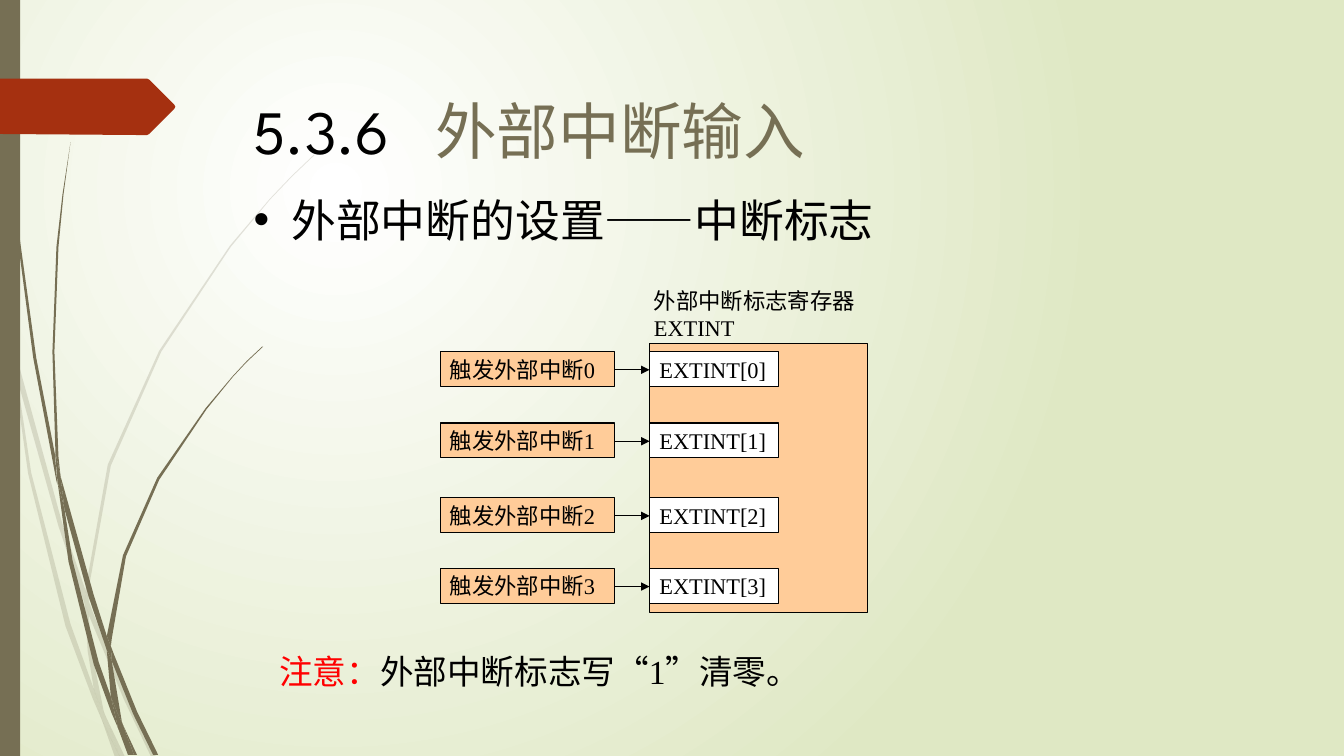
from pptx import Presentation
from pptx.dml.color import RGBColor as Rgb
from pptx.enum.lang import MSO_LANGUAGE_ID as Lang
from pptx.enum.shapes import MSO_CONNECTOR as Conn, MSO_SHAPE as Kind
from pptx.enum.text import MSO_ANCHOR as Anchor, PP_ALIGN as Align
from pptx.oxml.ns import qn
from pptx.util import Cm, Pt
from lxml.etree import SubElement as Sub

HUES = {
    "ink": "000000", "white": "FFFFFF", "pale": "DFE8C4", "olive": "766F54",
    "rust": "A53010", "peach": "FFCC99", "red": "FF0000",
}
SERIF, SANS = "Times New Roman", "League Spartan"

TITLE = [[("5.3.6\t", 44, "ink", SANS), ("外部中断输入", 44, "olive", SERIF)]]
BODY = [[("外部中断的设置——中断标志", 32, "ink", SERIF)]]
LABEL = [[("外部中断标志寄存器", 16, "ink", SERIF)], [("EXTINT", 16, "ink", SERIF)]]
NOTE = [[("注意：", 24, "red", SERIF), ("外部中断标志写“1”清零。", 24, "ink", SERIF)]]
ROWS = [
    ("触发外部中断0", "EXTINT[0]", 8.86),
    ("触发外部中断1", "EXTINT[1]", 10.66),
    ("触发外部中断2", "EXTINT[2]", 12.54),
    ("触发外部中断3", "EXTINT[3]", 14.32),
]

UNIT = Cm(0.0254)
FAINT = [
    [(11, 350), (9, 322), (0, 282), (0, 299), (10, 344)],
    [(58, 522), (84, 599), (85, 586), (62, 520), (14, 345), (17, 376)],
    [(92, 607), (88, 596), (88, 610), (123, 694), (150, 751), (155, 751), (127, 692)],
    [(119, 751), (124, 751), (105, 711)],
    [(93, 683), (70, 619), (31, 469), (17, 376), (11, 350), (28, 470), (65, 621),
     (92, 693), (101, 714), (99, 707)],
    [(84, 599), (87, 646), (93, 683), (96, 692), (105, 711), (103, 706), (91, 646),
     (88, 610), (88, 608)],
    [(88, 584), (110, 462), (160, 349), (229, 245), (268, 198), (290, 175), (312, 154),
     (312, 153), (289, 175), (268, 197), (228, 244), (158, 348), (107, 461), (85, 584),
     (85, 586), (88, 596)],
    [(101, 714), (114, 751), (119, 751)],
    [(88, 608), (88, 610), (88, 596), (85, 586), (84, 599)],
    [(96, 692), (93, 683), (99, 707), (101, 714), (119, 751), (105, 711)],
]
BOLD = [
    [(7, 110), (17, 233), (33, 355), (56, 477), (57, 481), (55, 457), (55, 453),
     (36, 355), (19, 232), (8, 109), (5, 48), (4, 0), (3, 0), (4, 48)],
    [(88, 592), (106, 645), (106, 633), (106, 631), (93, 590), (60, 472), (64, 505)],
    [(113, 649), (110, 641), (111, 656), (132, 708), (152, 749), (157, 749), (136, 706)],
    [(110, 691), (98, 657), (72, 556), (64, 505), (57, 477), (68, 557), (93, 659),
     (111, 708), (117, 722), (116, 717)],
    [(60, 472), (58, 453), (54, 349), (58, 245), (63, 193), (70, 141), (62, 193),
     (56, 245), (52, 349), (55, 449)],
    [(133, 749), (136, 749), (122, 719)],
    [(57, 477), (64, 505), (60, 472), (55, 449), (55, 453)],
    [(111, 633), (125, 552), (158, 476), (205, 406), (231, 374), (245, 359), (261, 344),
     (260, 344), (245, 358), (231, 373), (204, 405), (156, 474), (122, 551), (106, 631),
     (110, 641)],
    [(117, 722), (127, 749), (131, 749)],
    [(106, 645), (110, 691), (116, 706), (122, 719), (121, 716), (111, 656), (109, 651)],
    [(106, 645), (109, 651), (111, 656), (110, 641), (106, 631), (106, 633)],
    [(116, 706), (110, 691), (116, 717), (117, 722), (130, 749), (133, 749), (122, 719)],
]
TAG = [(173, 108), (148, 133), (146, 134), (136, 134), (0, 133), (0, 78), (136, 78),
       (146, 78), (148, 79), (173, 104), (174, 106)]


def hue(name):
    return Rgb.from_string(HUES[name])


def put(obj, vals):
    for key, val in vals.items():
        setattr(obj, key, val)


def paint(shape, fill, edge=None):
    shape.shadow.inherit = False
    shape.fill.solid()
    shape.fill.fore_color.rgb = hue(fill)
    if edge:
        shape.line.color.rgb = hue(edge)
        shape.line.width = Pt(0.75)
    else:
        shape.line.fill.background()
    return shape


def trace(pts, fill, alpha=100):
    pen = slide.shapes.build_freeform(*pts[0], scale=UNIT)
    pen.add_line_segments(pts[1:], close=True)
    shape = paint(pen.convert_to_shape(), fill)
    if alpha < 100:
        tone = shape.fill._xPr.find(".//" + qn("a:srgbClr"))
        Sub(tone, qn("a:alpha"), val=str(alpha * 1000))


def block(box, fill, edge=None):
    shape = slide.shapes.add_shape(Kind.RECTANGLE, *map(Cm, box))
    return paint(shape, fill, edge)


def write(shape, paras, wrap=True, anchor=Anchor.TOP):
    frame = shape.text_frame
    put(frame, {"word_wrap": wrap, "vertical_anchor": anchor})
    for i, runs in enumerate(paras):
        para = frame.add_paragraph() if i else frame.paragraphs[0]
        para.alignment = Align.LEFT
        for text, size, tint, face in runs:
            run = para.add_run()
            run.text = text
            put(run.font, {"size": Pt(size), "name": face,
                           "language_id": Lang.SIMPLIFIED_CHINESE})
            run.font.color.rgb = hue(tint)
    return frame.paragraphs[0]._p.get_or_add_pPr()


def note(box, paras, **opts):
    return write(slide.shapes.add_textbox(*map(Cm, box)), paras, **opts)


def cell(box, text, fill):
    shape = block(box, fill, "ink")
    write(shape, [[(text, 16, "ink", SERIF)]], wrap=False, anchor=Anchor.MIDDLE)


def arrow(x, end, y):
    line = slide.shapes.add_connector(Conn.STRAIGHT, Cm(x), Cm(y), Cm(end), Cm(y))
    put(line.line, {"width": Pt(0.75)})
    line.line.color.rgb = hue("ink")
    Sub(line.line._get_or_add_ln(), qn("a:tailEnd"), type="triangle")
    Sub(line._element.spPr, qn("a:effectLst"))


deck = Presentation()
put(deck, {"slide_width": Cm(33.87), "slide_height": Cm(19.05)})
slide = deck.slides.add_slide(deck.slide_layouts[6])

back = slide.background.fill
back.gradient()
for stop, name in zip(back.gradient_stops, ("white", "pale")):
    stop.color.rgb = hue(name)
grad = slide.element.find(".//" + qn("a:gradFill"))
grad.remove(grad.find(qn("a:lin")))
ring = Sub(grad, qn("a:path"), {"path": "circle"})
Sub(ring, qn("a:fillToRect"), l="50000", t="50000", r="100000", b="100000")

for group, alpha in ((FAINT, 20), (BOLD, 100)):
    for pts in group:
        trace(pts, "olive", alpha)
block((0, 0, 0.51, 19.05), "olive")
trace(TAG, "rust")

props = note((6.14, 1.68, 21.59, 3.18), TITLE, anchor=Anchor.MIDDLE)
Sub(Sub(props, qn("a:tabLst")), qn("a:tab"), pos=str(Cm(4.58)), algn="l")
props = note((6.14, 4.72, 21.39, 1.6), BODY)
for key, val in {"marL": Cm(0.95), "indent": -Cm(0.95)}.items():
    props.set(key, str(val))
Sub(props, qn("a:buFont"), typeface="Arial")
Sub(props, qn("a:buChar"), char="•")

LEFT, WIDE, FLAG, HIGH = 11.09, 4.39, 16.37, 0.88
block((FLAG, 8.65, 5.49, 6.78), "peach", "ink")
for cause, flag, top in ROWS:
    cell((FLAG, top, 3.26, HIGH), flag, "white")
    arrow(14.96, FLAG, top + HIGH / 2 + 0.02)
    cell((LEFT, top, WIDE, HIGH), cause, "peach")
note((16.23, 7.11, 5.77, 1.63), LABEL)
note((6.79, 16.28, 13.28, 1.27), NOTE, wrap=False)

deck.save("out.pptx")
